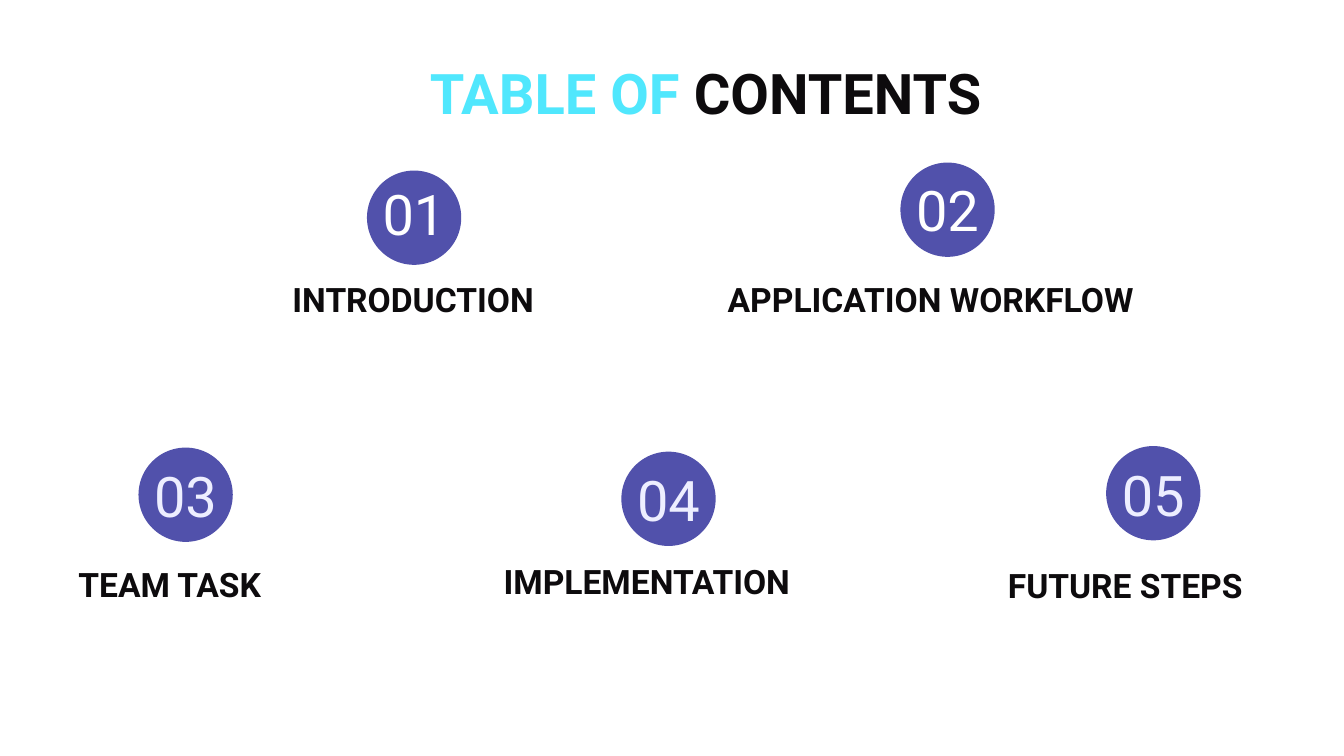
from pptx import Presentation
from pptx.dml.color import RGBColor
from pptx.enum import shapes, text
from pptx.util import Pt

HUES = {"disc": "5151AB", "cyan": "50E7FD", "ink": "0D0B0D",
        "white": "FFFFFF", "pale": "EDEEFF"}


def hue(name):
    return RGBColor.from_string(HUES[name])


class Deck:
    face = "Roboto"
    disc = 50.5
    wide, high = 96.5, 31

    def __init__(self, show):
        self.slide = show.slides.add_slide(show.slide_layouts[6])

    def circle(self, x, y):
        form = self.slide.shapes.add_shape(
            shapes.MSO_SHAPE.OVAL, Pt(x), Pt(y), Pt(self.disc), Pt(self.disc))
        form.shadow.inherit = False
        form.fill.solid()
        form.fill.fore_color.rgb = hue("disc")
        form.line.fill.background()

    def words(self, x, y, w, h, size, bold, *parts):
        """Add one centred line; each part is a (text, colour) pair."""
        box = self.slide.shapes.add_textbox(Pt(x), Pt(y), Pt(w), Pt(h))
        frame = box.text_frame
        frame.word_wrap = True
        frame.vertical_anchor = text.MSO_ANCHOR.MIDDLE
        frame.margin_left = frame.margin_right = Pt(7.2)
        frame.margin_top = frame.margin_bottom = Pt(7.2)
        line = frame.paragraphs[0]
        line.alignment = text.PP_ALIGN.CENTER
        font = line.font
        font.name, font.size, font.bold = self.face, Pt(size), bold
        for part, tint in parts:
            run = line.add_run()
            run.text = part
            run.font.color.rgb = hue(tint)

    def topic(self, num, x, y, drop, tint, label, left, top):
        """Add a numbered disc, its number set drop points lower, and a label."""
        self.circle(x, y)
        side = (self.wide - self.disc) / 2
        self.words(x - side, y + drop, self.wide, self.high, 30, False,
                   (f"{num:02}", tint))
        self.words(left, top, 257, self.high, 18, True, (label, "ink"))


def main():
    show = Presentation()
    show.slide_width, show.slide_height = Pt(720), Pt(405)
    deck = Deck(show)
    deck.words(77.8, 26.6, 600.5, 45.4, 30, True,
               ("TABLE OF ", "cyan"), ("CONTENTS", "ink"))
    topics = [
        (196.6, 91.4, 7.2, "white", "INTRODUCTION", 92.9, 144.7),
        (482.4, 87.1, 9.4, "white", "APPLICATION WORKFLOW", 370.1, 144.7),
        (74.2, 239.8, 10, "pale", "TEAM TASK ", -35.3, 297.4),
        (332.9, 242, 10, "pale", "IMPLEMENTATION ", 220.3, 295.9),
        (592.6, 239, 10, "pale", "FUTURE STEPS ", 476.6, 298.1),
    ]
    for num, topic in enumerate(topics, 1):
        deck.topic(num, *topic)
    show.save("out.pptx")


if __name__ == "__main__":
    main()
